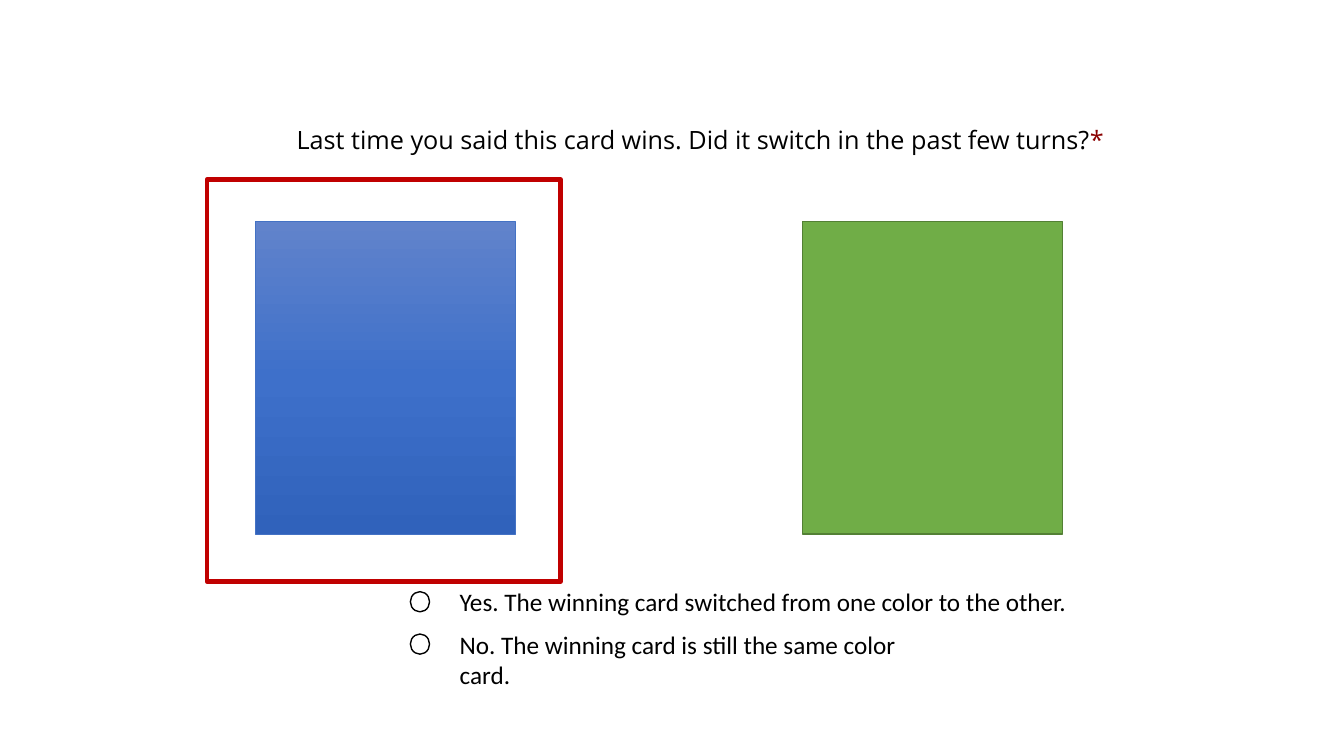
from copy import deepcopy
from dataclasses import dataclass

from pptx import Presentation
from pptx import util as u
from pptx.dml.color import RGBColor
from pptx.enum import shapes, text
from pptx.oxml.ns import qn

PX = 9144


@dataclass(frozen=True)
class Theme:
    """Colours, fonts and type size of the slide."""
    ink: str = "000000"
    required: str = "8B0000"
    select: str = "C00000"
    green: str = "70AD47"
    green_line: str = "538035"
    blue: tuple = ((0, "6183CB"), (0.5, "3E70CA"), (1, "3062BB"))
    blue_line: str = "4472C4"
    question_font: str = "Open Sans"
    answer_font: str = "Calibri"
    size: int = 18


T = Theme()


def px(n):
    """Turn px into EMU."""
    return u.Emu(n * PX)


def place(sp, box):
    """Move and size a shape to a box in px."""
    sp.left, sp.top, sp.width, sp.height = map(px, box)


def write(sp, *runs, font, size=T.size, align=text.PP_ALIGN.LEFT):
    """Fill a shape with one paragraph of (text, colour) runs."""
    tf = sp.text_frame
    tf.word_wrap = True
    tf.auto_size = text.MSO_AUTO_SIZE.NONE
    tf.vertical_anchor = text.MSO_ANCHOR.TOP
    p = tf.paragraphs[0]
    p.alignment = align
    p.line_spacing = 1.0
    for words, color in runs:
        r = p.add_run()
        r.text = words
        r.font.name = font
        r.font.size = u.Pt(size)
        r.font.color.rgb = RGBColor.from_string(color)


def paint_gradient(sp, stops):
    """Fill a shape from top to bottom with three colour stops."""
    sp.fill.gradient()
    sp.fill.gradient_angle = 270
    first = next(sp._element.iter(qn("a:gs")))
    first.addnext(deepcopy(first))
    for stop, (position, color) in zip(sp.fill.gradient_stops, stops):
        stop.position = position
        stop.color.rgb = RGBColor.from_string(color)


def add_outline(s, kind, box, line, width, fill=None):
    """Add a preset shape with a line and an optional fill."""
    sp = s.shapes.add_shape(kind, *map(px, box))
    sp.shadow.inherit = False
    sp.line.color.rgb = RGBColor.from_string(line)
    sp.line.width = u.Pt(width)
    if fill is None:
        sp.fill.background()
    elif isinstance(fill, str):
        sp.fill.solid()
        sp.fill.fore_color.rgb = RGBColor.from_string(fill)
    else:
        paint_gradient(sp, fill)
    return sp


def add_question(s, box):
    """Put the question in the title placeholder."""
    place(s.shapes.title, box)
    write(s.shapes.title,
          ("Last time you said this card wins. Did it switch in the past few turns?", T.ink),
          ("*", T.required), font=T.question_font, align=text.PP_ALIGN.CENTER)


def add_cards(s, box):
    """Put the two cards at the ends of a box and frame the left one."""
    x, y, w, h = box
    card_w = 258
    rect = shapes.MSO_SHAPE.RECTANGLE
    add_outline(s, rect, (x + w - card_w, y, card_w, h), T.green_line, 1, T.green)
    add_outline(s, rect, (x, y, card_w, h), T.blue_line, 0.5, T.blue)
    add_outline(s, rect, (x - 48, y - 42, 351, 399), T.select, 3)


def add_answers(s, box, pitch=42):
    """Stack the answers, each with a radio button, from the top of a box."""
    x, y, w, h = box
    answers = (("Yes. The winning card switched from one color to the other.", w),
               ("No. The winning card is still the same color card.", 547))
    for i, (words, right) in enumerate(answers):
        top = y + i * pitch
        add_outline(s, shapes.MSO_SHAPE.OVAL, (x, top + 10, 19, 20), T.ink, 1)
        tb = s.shapes.add_textbox(*map(px, (x + 39, top, right - 39, h - pitch)))
        write(tb, (words, T.ink), font=T.answer_font)


def main():
    """Build and save the slide."""
    prs = Presentation()
    prs.slide_width, prs.slide_height = px(1333), px(750)
    s = prs.slides.add_slide(prs.slide_layouts[5])
    add_question(s, (164, 118, 1061, 40))
    add_cards(s, (253, 220, 801, 310))
    add_answers(s, (407, 577, 735, 82))
    prs.save("out.pptx")


if __name__ == "__main__":
    main()
